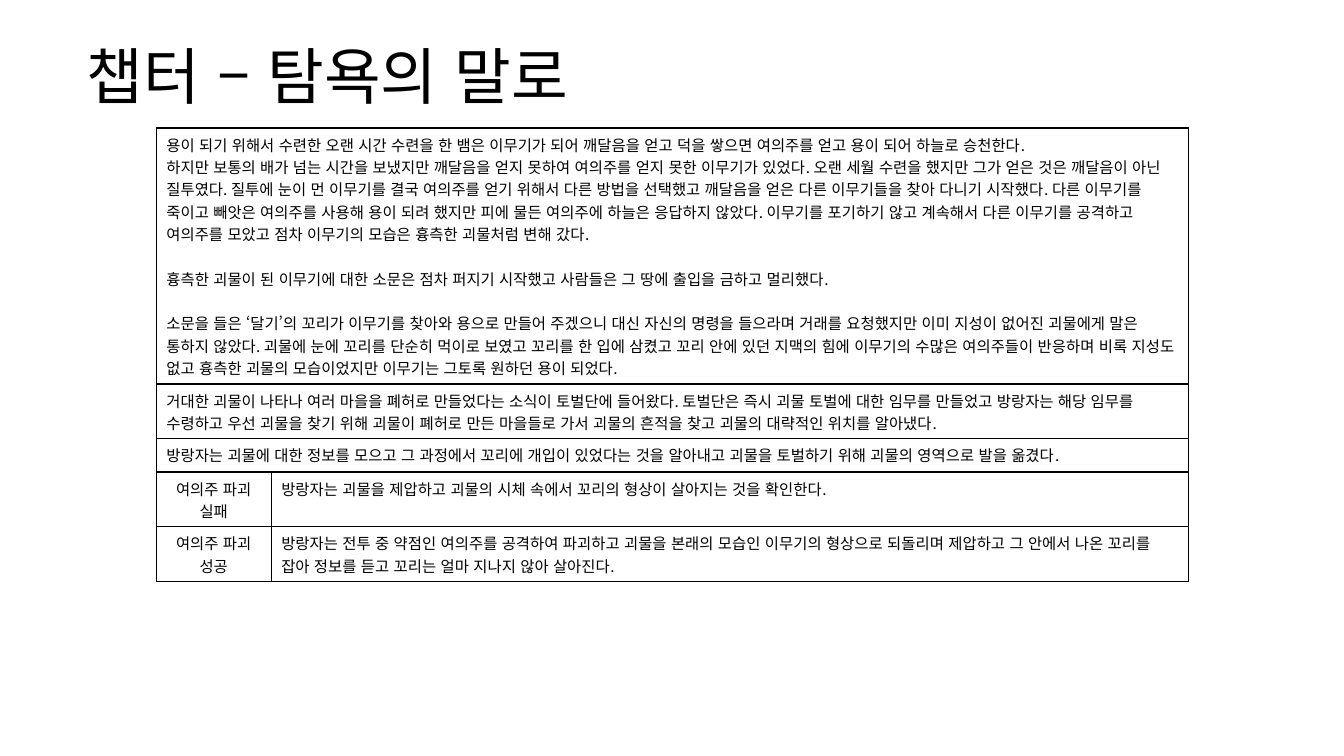
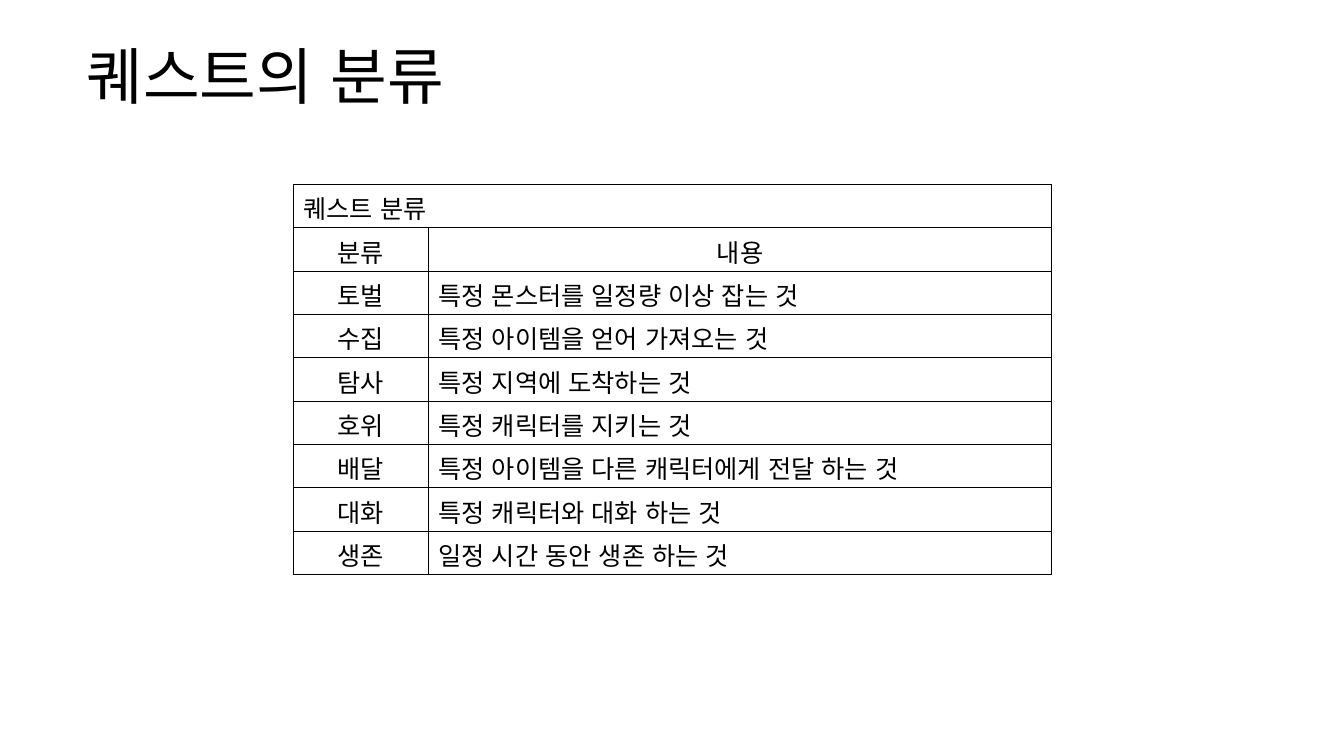
"""Build two game-design slides: a chapter synopsis and a quest classification."""
from dataclasses import dataclass

from lxml.etree import SubElement
from pptx import Presentation
from pptx.dml.color import RGBColor
from pptx.enum.lang import MSO_LANGUAGE_ID
from pptx.enum.text import MSO_ANCHOR, PP_ALIGN
from pptx.oxml.ns import qn
from pptx.presentation import Presentation as Deck
from pptx.slide import Slide
from pptx.table import _Cell
from pptx.text.text import _Paragraph
from pptx.util import Emu, Pt

PX = 9144
FONT = "Noto Sans CJK KR"
BLACK = RGBColor(0x00, 0x00, 0x00)
BORDER_WIDTH = Pt(1)
TITLE_SIZE = 44


@dataclass(frozen=True)
class Box:
    """A rectangle in px."""

    left: int
    top: int
    width: int
    height: int

    def emu(self) -> tuple[Emu, Emu, Emu, Emu]:
        """Return the rectangle in EMU."""
        return px(self.left), px(self.top), px(self.width), px(self.height)


@dataclass(frozen=True)
class CellText:
    """The paragraphs of one cell with their placement."""

    paragraphs: tuple[str, ...]
    centered: bool = False
    middle: bool = False
    gaps_before: tuple[int, ...] = ()


@dataclass(frozen=True)
class Grid:
    """A bordered table; a row with one cell spans every column."""

    left: int
    top: int
    columns: tuple[int, ...]
    heights: tuple[int, ...]
    size: int
    rows: tuple[tuple[CellText, ...], ...]


TITLE_BOX = Box(76, 32, 1181, 94)

STORY = CellText(
    (
        "용이 되기 위해서 수련한 오랜 시간 수련을 한 뱀은 이무기가 되어 깨달음을 얻고 덕을 쌓으면 "
        "여의주를 얻고 용이 되어 하늘로 승천한다.",
        "하지만 보통의 배가 넘는 시간을 보냈지만 깨달음을 얻지 못하여 여의주를 얻지 못한 이무기가 있었다. "
        "오랜 세월 수련을 했지만 그가 얻은 것은 깨달음이 아닌 질투였다. "
        "질투에 눈이 먼 이무기를 결국 여의주를 얻기 위해서 다른 방법을 선택했고 깨달음을 얻은 다른 "
        "이무기들을 찾아 다니기 시작했다. "
        "다른 이무기를 죽이고 빼앗은 여의주를 사용해 용이 되려 했지만 피에 물든 여의주에 하늘은 응답하지 않았다. "
        "이무기를 포기하기 않고 계속해서 다른 이무기를 공격하고 여의주를 모았고 점차 이무기의 모습은 "
        "흉측한 괴물처럼 변해 갔다.",
        "흉측한 괴물이 된 이무기에 대한 소문은 점차 퍼지기 시작했고 사람들은 그 땅에 출입을 금하고 멀리했다.",
        "소문을 들은 ‘달기’의 꼬리가 이무기를 찾아와 용으로 만들어 주겠으니 대신 자신의 명령을 들으라며 "
        "거래를 요청했지만 이미 지성이 없어진 괴물에게 말은 통하지 않았다. "
        "괴물에 눈에 꼬리를 단순히 먹이로 보였고 꼬리를 한 입에 삼켰고 꼬리 안에 있던 지맥의 힘에 "
        "이무기의 수많은 여의주들이 반응하며 비록 지성도 없고 흉측한 괴물의 모습이었지만 "
        "이무기는 그토록 원하던 용이 되었다.",
    ),
    gaps_before=(0, 0, 16, 16),
)
MISSION = CellText((
    "거대한 괴물이 나타나 여러 마을을 폐허로 만들었다는 소식이 토벌단에 들어왔다. "
    "토벌단은 즉시 괴물 토벌에 대한 임무를 만들었고 방랑자는 해당 임무를 수령하고 우선 괴물을 찾기 위해 "
    "괴물이 폐허로 만든 마을들로 가서 괴물의 흔적을 찾고 괴물의 대략적인 위치를 알아냈다.",
))
DEPARTURE = CellText((
    "방랑자는 괴물에 대한 정보를 모으고 그 과정에서 꼬리에 개입이 있었다는 것을 알아내고 "
    "괴물을 토벌하기 위해 괴물의 영역으로 발을 옮겼다.",
))
ENDINGS = (
    ("여의주 파괴 실패",
     "방랑자는 괴물을 제압하고 괴물의 시체 속에서 꼬리의 형상이 살아지는 것을 확인한다."),
    ("여의주 파괴 성공",
     "방랑자는 전투 중 약점인 여의주를 공격하여 파괴하고 괴물을 본래의 모습인 이무기의 형상으로 되돌리며 "
     "제압하고 그 안에서 나온 꼬리를 잡아 정보를 듣고 꼬리는 얼마 지나지 않아 살아진다."),
)
QUESTS = (
    ("토벌", "특정 몬스터를 일정량 이상 잡는 것"),
    ("수집", "특정 아이템을 얻어 가져오는 것"),
    ("탐사", "특정 지역에 도착하는 것"),
    ("호위", "특정 캐릭터를 지키는 것"),
    ("배달", "특정 아이템을 다른 캐릭터에게 전달 하는 것"),
    ("대화", "특정 캐릭터와 대화 하는 것"),
    ("생존", "일정 시간 동안 생존 하는 것"),
)


def px(length: int) -> Emu:
    """Turn px into EMU."""
    return Emu(length * PX)


def label(text: str) -> CellText:
    """Make a cell centred both ways."""
    return CellText((text,), centered=True, middle=True)


CHAPTER_GRID = Grid(
    155, 127, (114, 910), (254, 54, 33, 54, 54), 11,
    ((STORY,), (MISSION,), (DEPARTURE,))
    + tuple((label(name), CellText((text,))) for name, text in ENDINGS),
)
QUEST_GRID = Grid(
    291, 183, (134, 618), (43,) * (len(QUESTS) + 2), 18,
    ((CellText(("퀘스트 분류",), middle=True),), (label("분류"), label("내용")))
    + tuple((label(name), CellText((text,), middle=True)) for name, text in QUESTS),
)


def style_paragraph(p: _Paragraph, size: int) -> None:
    """Set the shared font of a paragraph."""
    font = p.font
    font.name = FONT
    font.size = Pt(size)
    font.color.rgb = BLACK
    font.language_id = MSO_LANGUAGE_ID.KOREAN
    SubElement(p._p.pPr.find(qn("a:defRPr")), qn("a:ea"), typeface=FONT)


def draw_title(s: Slide, text: str) -> None:
    """Draw the slide title."""
    tf = s.shapes.add_textbox(*TITLE_BOX.emu()).text_frame
    tf.word_wrap = True
    tf.vertical_anchor = MSO_ANCHOR.MIDDLE
    p = tf.paragraphs[0]
    p.text = text
    p.line_spacing = 0.9
    style_paragraph(p, TITLE_SIZE)


def draw_frame(cell: _Cell) -> None:
    """Clear a cell's fill and border its four sides."""
    cell.fill.background()
    props = cell._tc.get_or_add_tcPr()
    for index, side in enumerate(("a:lnL", "a:lnR", "a:lnT", "a:lnB")):
        line = SubElement(props, qn(side), w=str(BORDER_WIDTH))
        fill = SubElement(line, qn("a:solidFill"))
        SubElement(fill, qn("a:srgbClr"), val=str(BLACK))
        props.insert(index, line)


def fill_cell(cell: _Cell, content: CellText, size: int) -> None:
    """Write the paragraphs of a cell."""
    cell.vertical_anchor = MSO_ANCHOR.MIDDLE if content.middle else MSO_ANCHOR.TOP
    tf = cell.text_frame
    tf.text = "\n".join(content.paragraphs)
    for p in tf.paragraphs:
        p.alignment = PP_ALIGN.CENTER if content.centered else PP_ALIGN.LEFT
        style_paragraph(p, size)
    for p, gap in zip(tf.paragraphs, content.gaps_before):
        p.space_before = Pt(gap)


def draw_grid(s: Slide, grid: Grid) -> None:
    """Draw a bordered table."""
    box = Box(grid.left, grid.top, sum(grid.columns), sum(grid.heights))
    table = s.shapes.add_table(len(grid.rows), len(grid.columns), *box.emu()).table
    table.first_row = table.horz_banding = False
    for column, width in zip(table.columns, grid.columns):
        column.width = px(width)
    for row, height in zip(table.rows, grid.heights):
        row.height = px(height)
    for cell in table.iter_cells():
        draw_frame(cell)
    last = len(grid.columns) - 1
    for i, contents in enumerate(grid.rows):
        if len(contents) == 1:
            table.cell(i, 0).merge(table.cell(i, last))
        for j, content in enumerate(contents):
            fill_cell(table.cell(i, j), content, grid.size)


def add_slide(prs: Deck, title: str, grid: Grid) -> None:
    """Add a slide with a title and a table."""
    s = prs.slides.add_slide(prs.slide_layouts[6])
    draw_grid(s, grid)
    draw_title(s, title)


def main() -> None:
    """Build and save the presentation."""
    prs = Presentation()
    prs.slide_width, prs.slide_height = px(1333), px(750)
    add_slide(prs, "챕터 – 탐욕의 말로", CHAPTER_GRID)
    add_slide(prs, "퀘스트의 분류", QUEST_GRID)
    prs.save("out.pptx")


if __name__ == "__main__":
    main()
